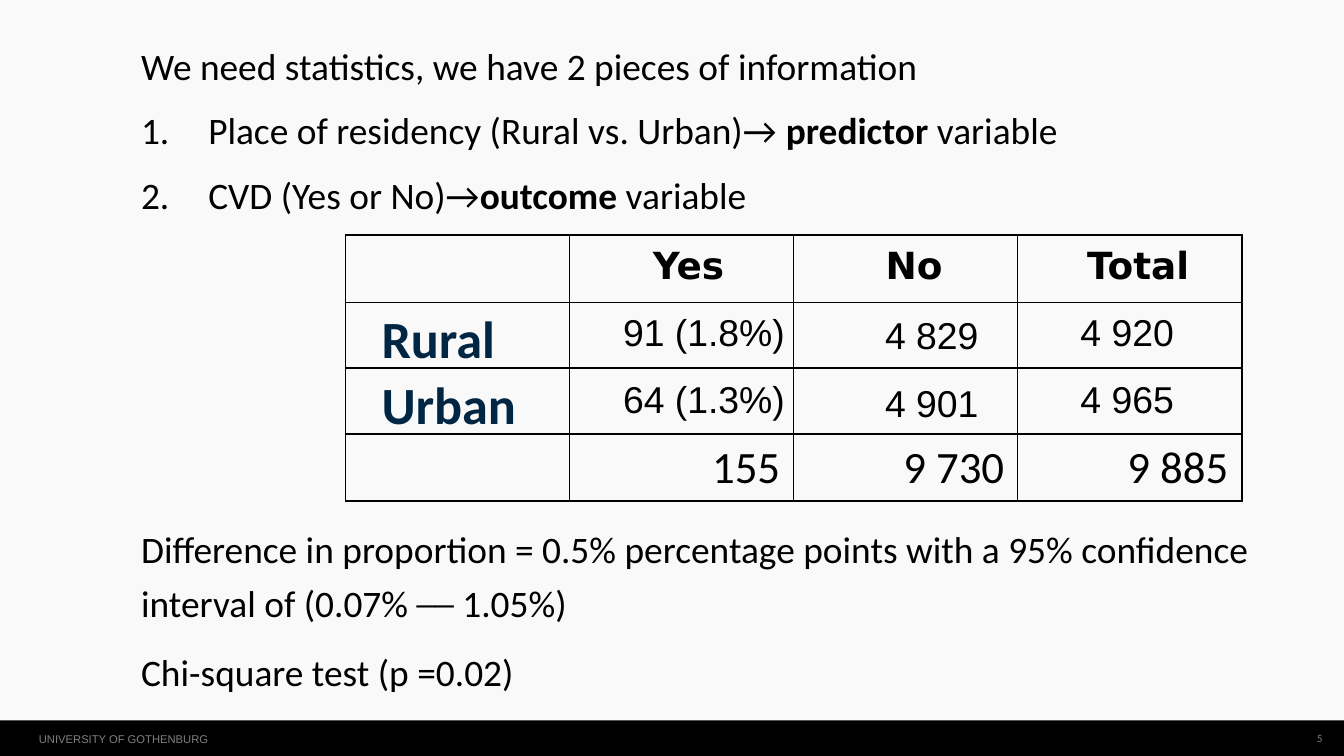
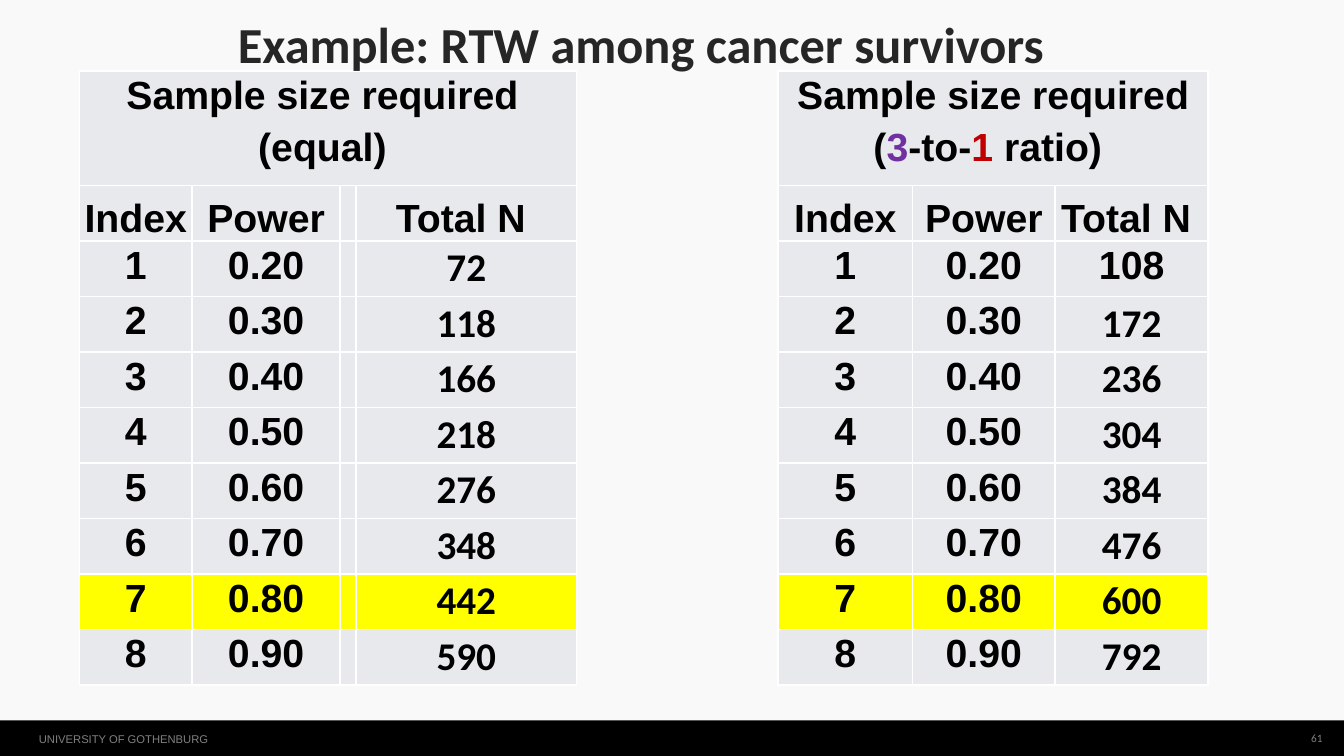
import pptx
import pptx.util
import pptx.dml.color
import pptx.enum.shapes
import pptx.enum.text
import pptx.oxml.ns
import lxml.etree

Inches = pptx.util.Inches
Pt = pptx.util.Pt
ALIGN = pptx.enum.text.PP_ALIGN
ANCHOR = pptx.enum.text.MSO_ANCHOR

BLACK, WHITE, PAPER, GREY = "000000", "FFFFFF", "F9F9F9", "808080"
NAVY, TITLE_INK = "002644", "262626"
CELL, HIGHLIGHT, PURPLE, RED = "E7E9ED", "FFFF00", "7030A0", "C00000"


def colour(hex_text):
    return pptx.dml.color.RGBColor.from_string(hex_text)


def add_span(para, text, size, font="Calibri", ink=BLACK, bold=False):
    span = para.add_run()
    span.text = text
    span.font.size = Pt(size)
    span.font.name = font
    span.font.bold = bold
    span.font.color.rgb = colour(ink)


def next_para(frame, line=None, before=None, after=None, align=ALIGN.LEFT):
    """Return the empty first paragraph of a frame, or a new one after it."""
    para = frame.paragraphs[0]
    if para.runs:
        para = frame.add_paragraph()
        if before is not None:
            para.space_before = Pt(before)
    else:
        para.space_before = Pt(0)
    if after is not None:
        para.space_after = Pt(after)
    if line is not None:
        para.line_spacing = line
    para.alignment = align
    return para


def number_para(para, indent):
    properties = para._p.get_or_add_pPr()
    properties.set("marL", str(Inches(indent)))
    properties.set("indent", str(-Inches(indent)))
    bullet = lxml.etree.SubElement(properties, pptx.oxml.ns.qn("a:buAutoNum"))
    bullet.set("type", "arabicPeriod")


def add_frame(page, left, top, width, height, inset=True, anchor=ANCHOR.TOP):
    box = page.shapes.add_textbox(Inches(left), Inches(top), Inches(width), Inches(height))
    frame = box.text_frame
    frame.word_wrap = True
    frame.vertical_anchor = anchor
    if not inset:
        frame.margin_left = frame.margin_right = 0
        frame.margin_top = frame.margin_bottom = 0
    return frame


def add_label(page, box, text, size, font="Calibri", ink=BLACK, bold=False,
              align=ALIGN.LEFT, **frame_options):
    frame = add_frame(page, *box, **frame_options)
    add_span(next_para(frame, align=align), text, size, font, ink, bold)


def add_footer(page, number):
    band = page.shapes.add_shape(pptx.enum.shapes.MSO_SHAPE.RECTANGLE,
                                 0, Inches(5.36), Inches(10), Inches(0.28))
    band.shadow.inherit = False
    band.fill.solid()
    band.fill.fore_color.rgb = colour(BLACK)
    band.line.fill.background()
    add_label(page, (0.29, 5.45, 1.4, 0.14), "UNIVERSITY OF GOTHENBURG", 6,
              "Arial", GREY, inset=False)
    add_label(page, (9.6, 5.36, 0.24, 0.26), number, 6, ink=GREY,
              align=ALIGN.RIGHT, inset=False, anchor=ANCHOR.MIDDLE)


def add_page(deck, number):
    page = deck.slides.add_slide(deck.slide_layouts[6])
    add_footer(page, number)
    return page


def add_grid(page, left, top, widths, heights):
    frame = page.shapes.add_table(len(heights), len(widths), Inches(left), Inches(top),
                                  Inches(sum(widths)), Inches(sum(heights)))
    table = frame.table
    table.first_row = table.horz_banding = False
    for column, width in zip(table.columns, widths):
        column.width = Inches(width)
    for row, height in zip(table.rows, heights):
        row.height = Inches(height)
    return table


def style_cell(cell, border, fill=None):
    properties = cell._tc.get_or_add_tcPr()
    for side in ("a:lnL", "a:lnR", "a:lnT", "a:lnB"):
        line = lxml.etree.SubElement(properties, pptx.oxml.ns.qn(side))
        line.set("w", str(Pt(1)))
        solid = lxml.etree.SubElement(line, pptx.oxml.ns.qn("a:solidFill"))
        lxml.etree.SubElement(solid, pptx.oxml.ns.qn("a:srgbClr")).set("val", border)
    if fill:
        cell.fill.solid()
        cell.fill.fore_color.rgb = colour(fill)
    else:
        cell.fill.background()


def add_variables(page, left, top):
    frame = add_frame(page, left, top, 8.43, 1.45, inset=False)
    add_span(next_para(frame, 1.1), "We need statistics, we have 2 pieces of information", 20)
    for lead, key in (("Place of residency (Rural vs. Urban)→", " predictor"),
                      ("CVD (Yes or No)→", "outcome")):
        para = next_para(frame, 1.1, 8)
        number_para(para, 0.5)
        add_span(para, lead, 20)
        add_span(para, key, 20, bold=True)
        add_span(para, " variable", 20)


def add_residency_table(page, left, top):
    table = add_grid(page, left, top, [6.67 / 4] * 4, [0.5, 0.49, 0.49, 0.5])
    for cell in table.iter_cells():
        style_cell(cell, BLACK)
    for column, total in enumerate(("155", "9 730", "9 885"), start=1):
        para = next_para(table.cell(3, column).text_frame, align=ALIGN.RIGHT)
        add_span(para, total, 24)

    for offset, width, heading in ((2.19, 0.79, "Yes"), (3.92, 0.71, "No"), (5.42, 1.1, "Total")):
        add_label(page, (left + offset, top, width, 0.44), heading, 20, "DejaVu Sans", bold=True)
    rows = (("Rural", "91 (1.8%)", "4 829", "4 920"),
            ("Urban", "64 (1.3%)", "4 901", "4 965"))
    no_frame = add_frame(page, left + 3.63, top + 0.36, 1.18, 1.11)
    for index, (place, yes, no, total) in enumerate(rows):
        row_top = top + 0.5 + 0.5 * index
        add_label(page, (left + 0.17, top + 0.48 + 0.49 * index, 1.42, 0.57), place, 28,
                  ink=NAVY, bold=True)
        add_label(page, (left + 1.95, row_top, 1.42, 0.44), yes, 20, "Arial", align=ALIGN.RIGHT)
        add_label(page, (left + 5.37, row_top, 1.42, 0.44), total, 20, "Arial")
        add_span(next_para(no_frame, 1.5, align=ALIGN.RIGHT), no, 20, "Arial")


def add_findings(page, left, top):
    frame = add_frame(page, left, top, 8.43, 1.4, inset=False)
    for text in ("Difference in proportion = 0.5% percentage points with a 95% confidence "
                 "interval of (0.07% ── 1.05%)", "Chi-square test (p =0.02)"):
        add_span(next_para(frame, 1.2, 8), text, 20)


def fill_sample_cell(cell, lines, font="Arial", anchor=ANCHOR.TOP):
    """Write lines, each a list of (text, ink) pairs, centred in a cell."""
    cell.vertical_anchor = anchor
    for line in lines:
        para = next_para(cell.text_frame, 1.07, 1.4, 1.4, ALIGN.CENTER)
        for text, ink in line:
            add_span(para, text, 21, font, ink, True)


def add_sample_table(page, left, top, widths, heading, totals, arial_totals=0):
    """Place power and total N in the outer columns; any spare column stays empty."""
    table = add_grid(page, left, top, widths, [0.85] + [3.72 / 9] * 9)
    last = len(widths) - 1
    for row_index in range(10):
        for column in range(last + 1):
            cell = table.cell(row_index, column)
            style_cell(cell, WHITE, HIGHLIGHT if row_index == 8 else CELL)
            cell.margin_left = cell.margin_right = Inches(0.02)
            cell.margin_top = cell.margin_bottom = 0
    table.cell(0, 0).merge(table.cell(0, last))
    fill_sample_cell(table.cell(0, 0), heading)
    for column, name in ((0, "Index"), (1, "Power"), (last, "Total N ")):
        fill_sample_cell(table.cell(1, column), [[(name, BLACK)]], anchor=ANCHOR.BOTTOM)
    for index, total in enumerate(totals, start=1):
        total_font = "Arial" if index <= arial_totals else "Calibri"
        for column, text, font in ((0, str(index), "Arial"),
                                   (1, f"{(index + 1) / 10:.2f}", "Arial"),
                                   (last, str(total), total_font)):
            fill_sample_cell(table.cell(index + 1, column), [[(text, BLACK)]], font)


def add_title(page, text):
    frame = add_frame(page, 1.77, 0.15, 6.83, 0.38, inset=False)
    add_span(next_para(frame, 0.9), text, 27, ink=TITLE_INK, bold=True)


def build_statistics_page(deck):
    page = add_page(deck, "5")
    add_variables(page, 1.05, 0.29)
    add_residency_table(page, 2.57, 1.75)
    add_findings(page, 1.05, 3.85)


def build_sample_size_page(deck):
    page = add_page(deck, "61")
    add_sample_table(page, 0.59, 0.53, [0.84, 1.1, 0.12, 1.64],
                     [[("Sample size required ", BLACK)], [("(equal) ", BLACK)]],
                     (72, 118, 166, 218, 276, 348, 442, 590))
    add_sample_table(page, 5.79, 0.53, [1, 1.06, 1.14],
                     [[("Sample size required", BLACK)],
                      [("(", BLACK), ("3", PURPLE), ("-to-", BLACK), ("1", RED),
                       (" ratio) ", BLACK)]],
                     (108, 172, 236, 304, 384, 476, 600, 792), arial_totals=1)
    add_title(page, "Example: RTW among cancer survivors")


def main():
    deck = pptx.Presentation()
    deck.slide_width, deck.slide_height = Inches(10), Inches(10 * 9 / 16)
    background = deck.slide_master.background.fill
    background.solid()
    background.fore_color.rgb = colour(PAPER)
    build_statistics_page(deck)
    build_sample_size_page(deck)
    deck.save("out.pptx")


if __name__ == "__main__":
    main()
